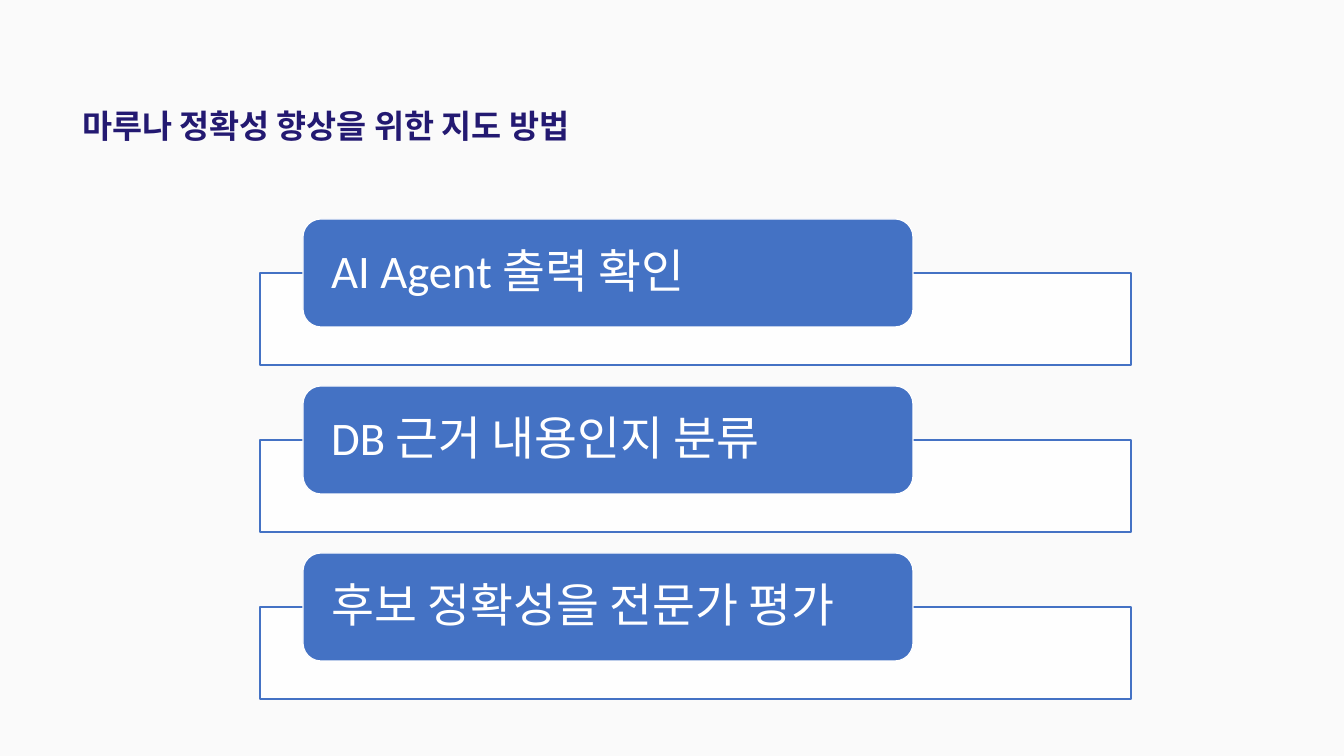
"""Build a slide of three stacked guidance steps under a title."""
from dataclasses import dataclass

from lxml import etree
from pptx import Presentation
from pptx import util as u
from pptx.dml.color import RGBColor
from pptx.enum import shapes, text
from pptx.oxml.ns import qn

PX = u.Inches(1) / 84
STEP_PITCH = 167
BLUE, WHITE, NAVY, PAPER = "4472C4", "FFFFFF", "231971", "FAFAFA"


@dataclass(frozen=True)
class Frame:
    left: int
    top: int
    width: int
    height: int

    def lowered(self, distance: int) -> "Frame":
        return Frame(self.left, self.top + distance, self.width, self.height)

    def emu(self) -> list[int]:
        return [px(n) for n in (self.left, self.top, self.width, self.height)]


TITLE = Frame(82, 113, 534, 76)
PANEL = Frame(260, 273, 871, 92)
LABEL = Frame(303, 219, 610, 108)
STEPS = ("AI Agent 출력 확인", "DB 근거 내용인지 분류", "후보 정확성을 전문가 평가")


def px(length: int) -> int:
    return round(length * PX)


def color(value: str) -> RGBColor:
    return RGBColor.from_string(value)


def add_block(page, kind, frame: Frame, fill: str, line: str):
    block = page.shapes.add_shape(kind, *frame.emu())
    block.shadow.inherit = False
    block.fill.solid()
    block.fill.fore_color.rgb = color(fill)
    block.line.color.rgb = color(line)
    block.line.width = u.Pt(1)
    return block


def write(box, words: str, font: str, size: int, ink: str, spacing, inset: int = 0) -> None:
    frame = box.text_frame
    frame.margin_left = frame.margin_right = px(inset)
    frame.margin_top = frame.margin_bottom = 0
    para = frame.paragraphs[0]
    para.text = words
    para.alignment = text.PP_ALIGN.LEFT
    para.line_spacing = spacing
    para.font.name = font
    para.font.size = u.Pt(size)
    para.font.color.rgb = color(ink)


def add_title(page, words: str) -> None:
    box = page.shapes.add_textbox(*TITLE.emu())
    box.text_frame.word_wrap = False
    write(box, words, "Manrope", 28, NAVY, u.Pt(27.5))
    box.text_frame.paragraphs[0].font.bold = True


def add_step(page, index: int, words: str) -> None:
    drop = index * STEP_PITCH
    panel = add_block(page, shapes.MSO_SHAPE.RECTANGLE, PANEL.lowered(drop), WHITE, BLUE)
    tint = panel.fill._xPr.find(qn("a:solidFill"))[0]
    etree.SubElement(tint, qn("a:alpha"), val="90000")
    label = add_block(page, shapes.MSO_SHAPE.ROUNDED_RECTANGLE, LABEL.lowered(drop), BLUE, WHITE)
    label.text_frame.word_wrap = True
    label.text_frame.vertical_anchor = text.MSO_ANCHOR.MIDDLE
    write(label, words, "Calibri", 40, WHITE, 0.9, inset=23)


def main() -> None:
    deck = Presentation()
    deck.slide_width, deck.slide_height = u.Inches(16), u.Inches(9)
    page = deck.slides.add_slide(deck.slide_layouts[6])
    page.background.fill.solid()
    page.background.fill.fore_color.rgb = color(PAPER)
    add_title(page, "마루나 정확성 향상을 위한 지도 방법")
    for index, words in enumerate(STEPS):
        add_step(page, index, words)
    deck.save("out.pptx")


if __name__ == "__main__":
    main()
